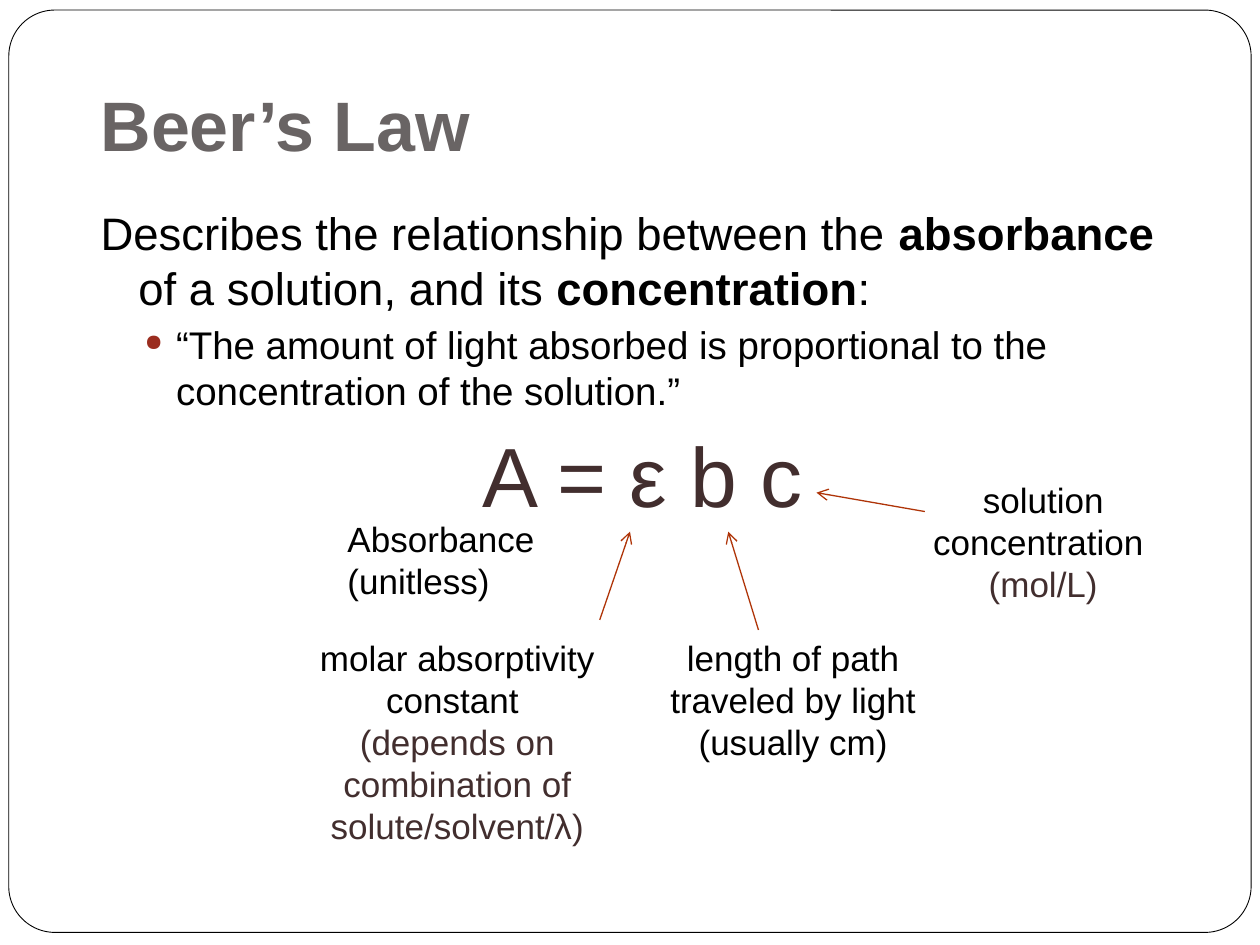
from lxml import etree
from pptx import Presentation
from pptx import util as u
from pptx.dml.color import RGBColor
from pptx.enum import shapes, text
from pptx.oxml.ns import qn

PX = 9144
FONT = "Arial"
BLACK, BROWN, GREY, RUST, RED = "000000", "422E2E", "696464", "AF3408", "9B2D1F"
LEFT, CENTER = text.PP_ALIGN.LEFT, text.PP_ALIGN.CENTER


def px(length):
    """Turn px into EMU."""
    return u.Emu(length * PX)


def color(value):
    """Turn a hex string into a colour."""
    return RGBColor.from_string(value)


def add_box(slide, box, anchor=text.MSO_ANCHOR.TOP, bottom=5):
    """Add a wrapping text box and return its text frame."""
    frame = slide.shapes.add_textbox(*map(px, box)).text_frame
    frame.word_wrap = True
    frame.vertical_anchor = anchor
    frame.margin_left = frame.margin_right = px(10)
    frame.margin_top, frame.margin_bottom = px(5), px(bottom)
    return frame


def add_paragraph(frame, runs, size, align=LEFT, before=0):
    """Write (words, colour, bold) runs into the next paragraph of a frame."""
    paragraph = frame.paragraphs[0]
    if paragraph.runs:
        paragraph = frame.add_paragraph()
        paragraph.space_before = u.Pt(before)
    paragraph.alignment = align
    for words, value, bold in runs:
        if words == "\n":
            paragraph.add_line_break()
            continue
        run = paragraph.add_run()
        run.text = words
        run.font.name, run.font.size, run.font.bold = FONT, u.Pt(size), bold
        run.font.color.rgb = color(value)
    return paragraph


def set_indent(paragraph, margin, hanging, bullet=None):
    """Give a paragraph a hanging indent and an optional coloured bullet."""
    properties = paragraph._p.get_or_add_pPr()
    properties.set("marL", str(px(margin)))
    properties.set("indent", str(px(-hanging)))
    if bullet:
        holder = etree.SubElement(properties, qn("a:buClr"))
        etree.SubElement(holder, qn("a:srgbClr"), val=bullet)
        etree.SubElement(properties, qn("a:buSzPct"), val="60000")
        etree.SubElement(properties, qn("a:buChar"), char="●")


def add_frame(slide, box):
    """Draw the rounded border of the slide."""
    shape = slide.shapes.add_shape(shapes.MSO_SHAPE.ROUNDED_RECTANGLE, *map(px, box))
    shape.adjustments[0] = 0.05
    shape.shadow.inherit = False
    shape.fill.solid()
    shape.fill.fore_color.rgb = color("FFFFFF")
    shape.line.color.rgb = color(BLACK)
    shape.line.width = u.Pt(0.5)


def add_title(slide, box):
    """Write the heading at the bottom of its box."""
    frame = add_box(slide, box, text.MSO_ANCHOR.BOTTOM, 10)
    add_paragraph(frame, [("Beer’s Law", GREY, True)], 40)


def add_body(slide, box):
    """Write the statement, its quotation and the equation."""
    frame = add_box(slide, box)
    statement = [
        ("Describes the relationship between the ", BLACK, False),
        ("absorbance", BLACK, True),
        (" of a solution, and its ", BLACK, False),
        ("concentration", BLACK, True),
        (":", BLACK, False),
    ]
    quotation = "“The amount of light absorbed is proportional to the concentration of the solution.”"
    set_indent(add_paragraph(frame, statement, 26), 30, 30)
    paragraph = add_paragraph(frame, [(quotation, BLACK, False)], 22, before=3.7)
    set_indent(paragraph, 60, 25, RED)
    paragraph = add_paragraph(frame, [("A = ε b c", BROWN, False)], 48, CENTER, before=5.8)
    set_indent(paragraph, 30, 30)


def add_label(slide, box, paragraphs, align=CENTER):
    """Explain one term of the equation."""
    frame = add_box(slide, box)
    for runs in paragraphs:
        add_paragraph(frame, [(words, value, False) for words, value in runs], 20, align)


def add_arrow(slide, start, end):
    """Draw a thin arrow from a label to its term."""
    arrow = slide.shapes.add_connector(shapes.MSO_CONNECTOR.STRAIGHT, *map(px, start + end))
    arrow.line.color.rgb = color(RUST)
    arrow.line.width = u.Pt(0.75)
    etree.SubElement(arrow.line._get_or_add_ln(), qn("a:tailEnd"), type="arrow")
    etree.SubElement(arrow._element.spPr, qn("a:effectLst"))


def add_terms(slide, left, top):
    """Place the labels and arrows around the equation."""
    labels = [
        ((63, 31, 203, 77), [[("Absorbance (unitless)", BLACK)]], LEFT),
        ((0, 125, 320, 177), [
            [("molar absorptivity constant ", BLACK)],
            [("(depends on combination of solute/solvent/λ)", BROWN)],
        ], CENTER),
        ((313, 125, 227, 110), [[("length of path traveled by light (usually cm)", BLACK)]], CENTER),
        ((500, 0, 250, 110), [
            [("solution concentration ", BLACK), ("\n", BLACK), ("(mol/L)", BROWN)],
        ], CENTER),
    ]
    arrows = [((273, 117), (297, 47)), ((399, 125), (375, 47)), ((531, 31), (445, 16))]
    for (x, y, width, height), paragraphs, align in labels:
        add_label(slide, (left + x, top + y, width, height), paragraphs, align)
    for points in arrows:
        add_arrow(slide, *((left + x, top + y) for x, y in points))


def main():
    """Build the slide and save it."""
    presentation = Presentation()
    presentation.slide_width, presentation.slide_height = px(1000), px(750)
    slide = presentation.slides.add_slide(presentation.slide_layouts[6])
    add_frame(slide, (7, 8, 986, 732))
    add_title(slide, (70, 16, 880, 125))
    add_body(slide, (70, 158, 880, 279))
    add_terms(slide, 203, 375)
    presentation.save("out.pptx")


if __name__ == "__main__":
    main()
